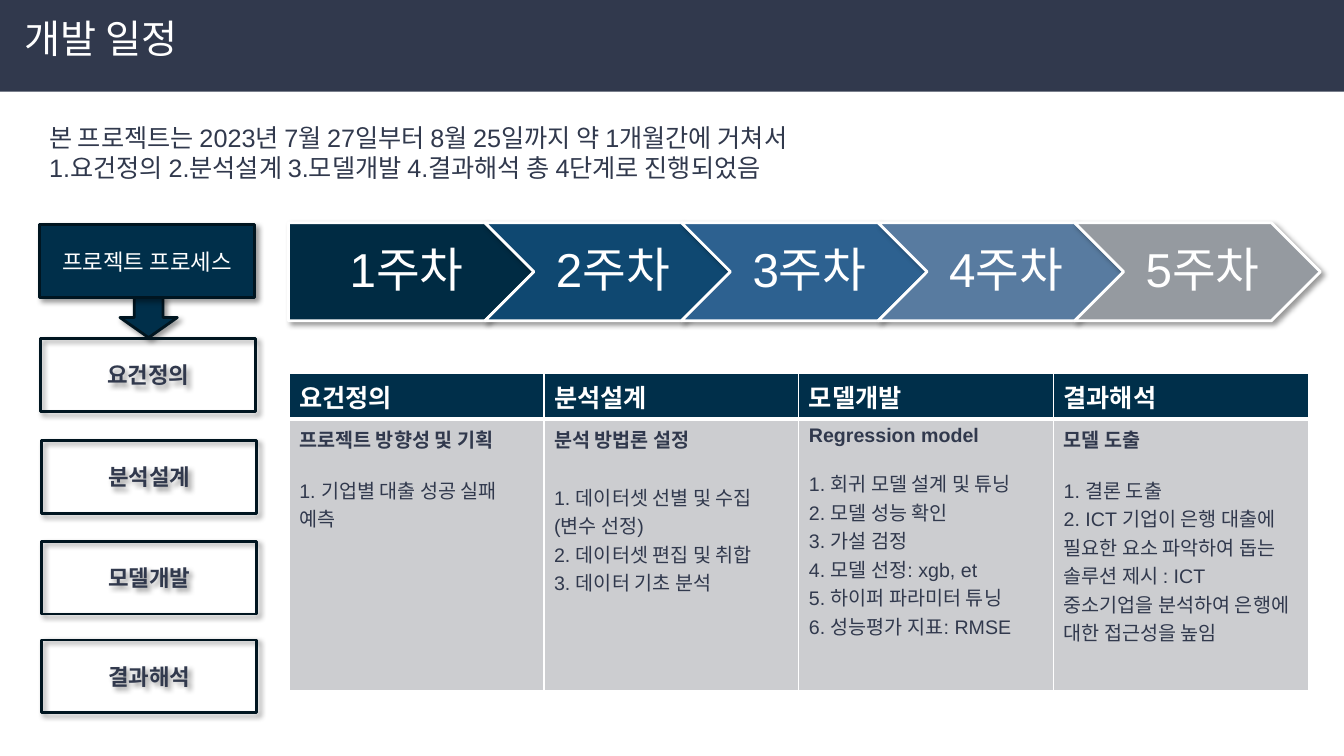
from dataclasses import dataclass

from lxml import etree
from pptx import Presentation
from pptx.dml.color import RGBColor
from pptx.enum import shapes as kinds, text as txt
from pptx.oxml import parse_xml
from pptx.oxml.ns import nsdecls, qn
from pptx.util import Pt


@dataclass(frozen=True)
class Theme:
    font: str = "Arial"
    ink: str = "31394D"
    navy: str = "002F4A"
    outline: str = "001520"
    white: str = "FFFFFF"
    cell: str = "CCCDD0"
    weeks: tuple = ("002B43", "0F4871", "2D6190", "587BA0", "959AA0")
    title_size: int = 28
    week_size: int = 34
    lead_size: int = 18
    box_size: int = 16
    body_size: int = 14


THEME = Theme()
LEFT, CENTER = txt.PP_ALIGN.LEFT, txt.PP_ALIGN.CENTER

LEAD = [
    "본 프로젝트는 2023년 7월 27일부터 8월 25일까지 약 1개월간에 거쳐서",
    "1.요건정의 2.분석설계 3.모델개발 4.결과해석 총 4단계로 진행되었음",
]
STAGES = [("요건정의", 28.8, 241.9), ("분석설계", 29.5, 314.6),
          ("모델개발", 29.5, 386.6), ("결과해석", 29.5, 457.2)]
# heading, gap below the heading, items
DETAILS = [
    ("프로젝트 방향성 및 기획", 16, ["1. 기업별 대출 성공 실패 예측"]),
    ("분석 방법론 설정", 21, [
        "1. 데이터셋 선별 및 수집(변수 선정)",
        "2. 데이터셋 편집 및 취합",
        "3. 데이터 기초 분석"]),
    ("Regression model", 16, [
        "1. 회귀 모델 설계 및 튜닝",
        "2. 모델 성능 확인",
        "3. 가설 검정",
        "4. 모델 선정: xgb, et",
        "5. 하이퍼 파라미터 튜닝",
        "6. 성능평가 지표: RMSE"]),
    ("모델 도출", 16, [
        "1. 결론 도출",
        "2. ICT 기업이 은행 대출에 필요한 요소 파악하여 돕는 솔루션 제시 : ICT "
        "중소기업을 분석하여 은행에 대한 접근성을 높임"]),
]


def rgb(color):
    return RGBColor.from_string(color)


def write(frame, lines, size, color, bold=False, align=LEFT, spacing=None):
    frame.text = "\n".join(lines)
    for paragraph in frame.paragraphs:
        paragraph.alignment = align
        paragraph.line_spacing = spacing
        font = paragraph.font
        font.name, font.size, font.bold = THEME.font, Pt(size), bold
        font.color.rgb = rgb(color)


def set_margins(frame, left, top, right, bottom):
    frame.margin_left, frame.margin_top = Pt(left), Pt(top)
    frame.margin_right, frame.margin_bottom = Pt(right), Pt(bottom)


def place(item, left, top, width, height):
    item.left, item.top = Pt(left), Pt(top)
    item.width, item.height = Pt(width), Pt(height)


def add_block(slide, kind, left, top, width, height, fill=None, line=None):
    block = slide.shapes.add_shape(kind, Pt(left), Pt(top), Pt(width), Pt(height))
    block.shadow.inherit = False
    if fill:
        block.fill.solid()
        block.fill.fore_color.rgb = rgb(fill)
    else:
        block.fill.background()
    if line:
        block.line.color.rgb = rgb(line)
        block.line.width = Pt(2)
        add_shadow(block)
    else:
        block.line.fill.background()
    return block


def add_shadow(block):
    effects = block._element.spPr.find(qn("a:effectLst"))
    effects.append(parse_xml(
        f'<a:outerShdw {nsdecls("a")} blurRad="{Pt(4)}" dist="{Pt(3)}" '
        'dir="2700000" algn="tl" rotWithShape="0"><a:srgbClr val="000000">'
        '<a:alpha val="40000"/></a:srgbClr></a:outerShdw>'))


def add_title(slide):
    band = add_block(slide, kinds.MSO_SHAPE.RECTANGLE, 0, 0, 960, 65.5, THEME.ink)
    title = slide.shapes.title
    title._element.addprevious(band._element)
    place(title, 1.4, 1.4, 894, 65.5)
    frame = title.text_frame
    frame.auto_size = txt.MSO_AUTO_SIZE.NONE
    frame.vertical_anchor = txt.MSO_ANCHOR.TOP
    set_margins(frame, 16, 7.2, 7.2, 7.2)
    write(frame, ["개발 일정"], THEME.title_size, THEME.white, spacing=Pt(35))


def add_lead(slide):
    lead = slide.shapes.add_textbox(Pt(28), Pt(84.2), Pt(894), Pt(51))
    lead.text_frame.word_wrap = True
    write(lead.text_frame, LEAD, THEME.lead_size, THEME.ink, spacing=Pt(21.5))


def add_process_box(slide, label, left, top, fill=None):
    box = add_block(slide, kinds.MSO_SHAPE.RECTANGLE, left, top, 154, 52,
                    fill, THEME.outline)
    box.text_frame.vertical_anchor = txt.MSO_ANCHOR.MIDDLE
    write(box.text_frame, [label], THEME.box_size,
          THEME.white if fill else THEME.ink, bold=not fill, align=CENTER)


def add_process(slide):
    add_block(slide, kinds.MSO_SHAPE.DOWN_ARROW, 85.7, 212.4, 41, 28.8,
              THEME.navy, THEME.outline)
    add_process_box(slide, "프로젝트 프로세스", 28, 160.6, THEME.navy)
    for label, left, top in STAGES:
        add_process_box(slide, label, left, top)


def add_weeks(slide):
    for index, color in enumerate(THEME.weeks):
        kind = kinds.MSO_SHAPE.CHEVRON if index else kinds.MSO_SHAPE.PENTAGON
        week = add_block(slide, kind, 206 + index * 140.4, 159.1, 175.6, 70,
                         color, THEME.white)
        frame = week.text_frame
        frame.word_wrap = False
        frame.vertical_anchor = txt.MSO_ANCHOR.MIDDLE
        set_margins(frame, 10.8 if index else 14.4, 7.2, 3.6, 7.2)
        write(frame, [f"{index + 1}주차"], THEME.week_size, THEME.white,
              align=CENTER, spacing=0.9)


def style_cell(cell, fill, bottom_width):
    cell.fill.solid()
    cell.fill.fore_color.rgb = rgb(fill)
    properties = cell._tc.get_or_add_tcPr()
    widths = {"lnL": 1, "lnR": 1, "lnT": 1, "lnB": bottom_width}
    for index, (side, width) in enumerate(widths.items()):
        border = etree.Element(qn(f"a:{side}"), w=str(Pt(width)))
        solid = etree.SubElement(border, qn("a:solidFill"))
        etree.SubElement(solid, qn("a:srgbClr"), val=THEME.white)
        properties.insert(index, border)


def add_details(slide):
    table = slide.shapes.add_table(2, len(DETAILS), Pt(206.6), Pt(266.4),
                                   Pt(728), Pt(226.8)).table
    table.horz_banding = False
    table.rows[0].height, table.rows[1].height = Pt(33.1), Pt(193.7)
    for column, (stage, detail) in enumerate(zip(STAGES, DETAILS)):
        heading, gap, items = detail
        header, body = table.cell(0, column), table.cell(1, column)
        write(header.text_frame, [stage[0]], THEME.lead_size, THEME.white, bold=True)
        style_cell(header, THEME.navy, 3)
        write(body.text_frame, [heading, *items], THEME.body_size, THEME.ink)
        first = body.text_frame.paragraphs[0]
        first.font.bold = True
        first.space_after = Pt(gap)
        style_cell(body, THEME.cell, 1)


def main():
    deck = Presentation()
    deck.slide_width, deck.slide_height = Pt(960), Pt(540)
    slide = deck.slides.add_slide(deck.slide_layouts[5])
    add_title(slide)
    add_lead(slide)
    add_weeks(slide)
    add_details(slide)
    add_process(slide)
    deck.save("out.pptx")


if __name__ == "__main__":
    main()
